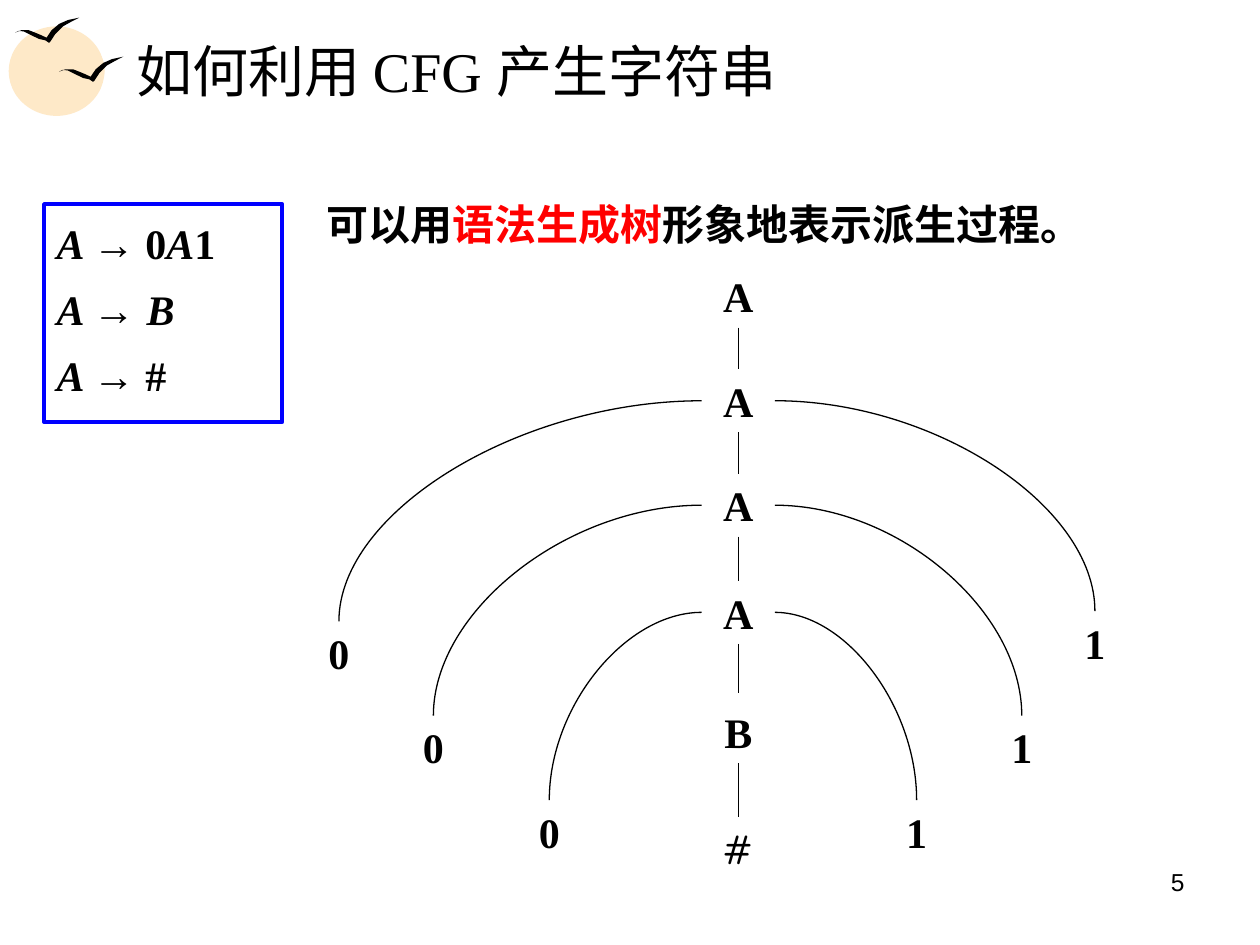
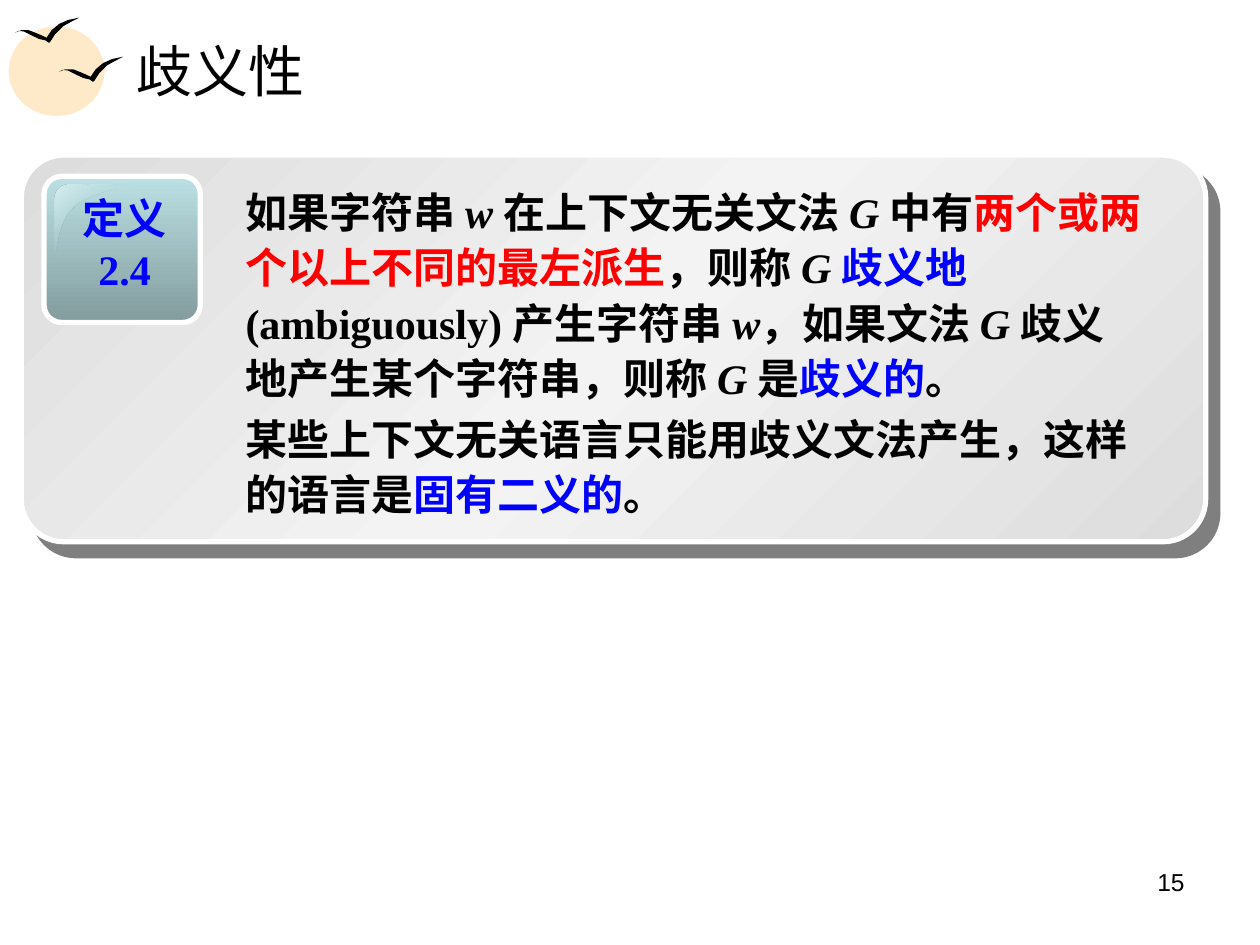
import pptx
import pptx.dml.color
import pptx.enum.shapes
import pptx.enum.text
import pptx.oxml
import pptx.oxml.ns
import pptx.util
from lxml import etree

Pt = pptx.util.Pt
RGBColor = pptx.dml.color.RGBColor
SHAPE = pptx.enum.shapes.MSO_SHAPE
CONNECTOR = pptx.enum.shapes.MSO_CONNECTOR
ALIGN = pptx.enum.text.PP_ALIGN
ANCHOR = pptx.enum.text.MSO_ANCHOR
AUTO_SIZE = pptx.enum.text.MSO_AUTO_SIZE
qn = pptx.oxml.ns.qn

BLACK = RGBColor(0x00, 0x00, 0x00)
WHITE = RGBColor(0xFF, 0xFF, 0xFF)
RED = RGBColor(0xFF, 0x00, 0x00)
BLUE = RGBColor(0x00, 0x00, 0xFF)
SUN = RGBColor(0xFE, 0xE9, 0xC8)
SILVER = RGBColor(0xDD, 0xDD, 0xDD)
PEARL = RGBColor(0xF3, 0xF3, 0xF3)
TEAL = RGBColor(0xBB, 0xE0, 0xE3)
DARK_TEAL = RGBColor(0x83, 0x9C, 0x9E)
PALE_TEAL = RGBColor(0xDA, 0xEE, 0xF0)

SERIF = "Times New Roman"
SANS = "Arial"
PLAIN = (BLACK, False, SERIF)
ITALIC = (BLACK, True, SERIF)
ARROW = (BLACK, False, SANS)
IN_RED = (RED, False, SERIF)
IN_BLUE = (BLUE, False, SERIF)


def write_runs(paragraph, runs, size=24, bold=True):
    for text, (color, italic, font_name) in runs:
        run = paragraph.add_run()
        run.text = text
        run.font.size = Pt(size)
        run.font.bold = bold
        run.font.italic = italic
        run.font.name = font_name
        run.font.color.rgb = color


def fill_gradient(shape, stops, angle):
    shape.fill.gradient()
    gradient = shape._element.spPr.find(qn("a:gradFill"))
    stop_list = gradient.find(qn("a:gsLst"))
    for old_stop in list(stop_list):
        stop_list.remove(old_stop)
    for position, color, opacity in stops:
        stop = etree.SubElement(stop_list, qn("a:gs"), pos=str(position * 1000))
        tint = etree.SubElement(stop, qn("a:srgbClr"), val=str(color))
        if opacity < 100:
            etree.SubElement(tint, qn("a:alpha"), val=str(opacity * 1000))
    gradient.find(qn("a:lin")).set("ang", str(angle * 60000))


presentation = pptx.Presentation()
presentation.slide_width = Pt(720)
presentation.slide_height = Pt(540)

sun_discs = [(5, 15.1, 54.7, 51.1), (14.4, 20.2, 45.4, 39.6)]
bird_origins = [(33.8, 32.4), (8.6, 10.1)]
bird_outline = [
    (0, 8.6), (3.6, 7.2), (7.9, 7.2), (11.5, 8.6), (15.1, 10.1), (18, 11.5),
    (20.9, 7.2), (25.2, 3.6), (30.2, 1.4), (36.7, 0), (32.4, 2.2), (27.4, 5),
    (23, 9.4), (20.2, 13.7), (19.4, 14.4), (17.3, 13), (13.7, 12.2),
    (9.4, 10.1), (5, 7.9), (2, 7.6),
]

slides = []
for layout_index, heading, number in [(1, "如何利用 CFG 产生字符串", "5"), (5, "歧义性", "15")]:
    slide = presentation.slides.add_slide(presentation.slide_layouts[layout_index])
    slides.append(slide)
    motif = []
    for left, top, width, height in sun_discs:
        disc = slide.shapes.add_shape(SHAPE.OVAL, Pt(left), Pt(top), Pt(width), Pt(height))
        motif.append((disc, SUN))
    for origin_x, origin_y in bird_origins:
        points = [(Pt(origin_x + x), Pt(origin_y + y)) for x, y in bird_outline]
        outline = slide.shapes.build_freeform(*points[0], scale=1.0)
        outline.add_line_segments(points[1:], close=True)
        motif.append((outline.convert_to_shape(), BLACK))
    for part, color in motif:
        part.shadow.inherit = False
        part.fill.solid()
        part.fill.fore_color.rgb = color
        part.line.fill.background()

    title = slide.shapes.title
    title.left, title.top, title.width, title.height = Pt(70.6), Pt(15.1), Pt(614.2), Pt(49.7)
    title.text_frame.vertical_anchor = ANCHOR.MIDDLE
    title.text_frame.auto_size = AUTO_SIZE.NONE
    title.text_frame.paragraphs[0].alignment = ALIGN.LEFT
    write_runs(title.text_frame.paragraphs[0], [(heading, PLAIN)], 32, False)

    page = slide.shapes.add_textbox(Pt(516.2), Pt(491.8), Pt(167.8), Pt(37.4))
    page.text_frame.word_wrap = True
    page.text_frame.paragraphs[0].alignment = ALIGN.RIGHT
    write_runs(page.text_frame.paragraphs[0], [(number, ARROW)], 14, False)

tree_slide, definition_slide = slides

grammar = tree_slide.placeholders[1]
grammar.left, grammar.top, grammar.width, grammar.height = Pt(25.2), Pt(116.6), Pt(136.1), Pt(124.6)
grammar.line.color.rgb = BLUE
grammar.line.width = Pt(2.25)
grammar.text_frame.auto_size = AUTO_SIZE.NONE
rules = [
    [("A ", ITALIC), ("→", ARROW), (" 0", PLAIN), ("A", ITALIC), ("1", PLAIN)],
    [("A ", ITALIC), ("→ ", ARROW), ("B", ITALIC)],
    [("A ", ITALIC), ("→", ARROW), (" #", PLAIN)],
]
for index, rule in enumerate(rules):
    paragraph = grammar.text_frame.paragraphs[0] if index == 0 else grammar.text_frame.add_paragraph()
    properties = paragraph._p.get_or_add_pPr()
    properties.set("marL", "0")
    properties.set("indent", "0")
    etree.SubElement(properties, qn("a:buNone"))
    paragraph.line_spacing = 1.15
    paragraph.space_before = Pt(4.5 if index else 0)
    write_runs(paragraph, rule)

statement = tree_slide.shapes.add_textbox(Pt(178.6), Pt(105.8), Pt(521.3), Pt(56.9))
statement.text_frame.word_wrap = True
statement.text_frame.margin_left = statement.text_frame.margin_right = Pt(7.9)
statement.text_frame.paragraphs[0].line_spacing = 1.15
write_runs(statement.text_frame.paragraphs[0], [
    ("可以用", PLAIN), ("语法生成树", IN_RED), ("形象地表示派生过程。", PLAIN),
])

TRUNK_X = 421.9
NODE_WIDTH = 41.8
NODE_HEIGHT = 36
trunk = [("A", 151.2), ("A", 211), ("A", 270.7), ("A", 331.9), ("B", 400.3), ("#", 466.6)]
stem_ends = [211, 270.7, 331.9, 396, 466.6]
branches = [
    (211, [("0", 193.7, 355), ("1", 625.7, 349.2)]),
    (270.7, [("0", 247.7, 409), ("1", 583.9, 409)]),
    (331.9, [("0", 313.9, 457.2), ("1", 523.8, 457.2)]),
]

nodes = [(symbol, TRUNK_X, top) for symbol, top in trunk]
edges = [
    (CONNECTOR.STRAIGHT, TRUNK_X, top + NODE_HEIGHT, TRUNK_X, stem_end)
    for (symbol, top), stem_end in zip(trunk, stem_ends)
]
for parent_top, leaves in branches:
    nodes += leaves
    for symbol, leaf_x, leaf_top in leaves:
        side = 1 if leaf_x > TRUNK_X else -1
        edges.append((CONNECTOR.CURVE, TRUNK_X + side * NODE_WIDTH / 2,
                      parent_top + NODE_HEIGHT / 2, leaf_x, leaf_top))

for symbol, center, top in nodes:
    node = tree_slide.shapes.add_textbox(
        Pt(center - NODE_WIDTH / 2), Pt(top), Pt(NODE_WIDTH), Pt(NODE_HEIGHT))
    node.text_frame.word_wrap = True
    node.text_frame.paragraphs[0].alignment = ALIGN.CENTER
    is_letter = symbol != "#"
    style = PLAIN if is_letter else (BLACK, False, "Comic Neue")
    write_runs(node.text_frame.paragraphs[0], [(symbol, style)], bold=is_letter)

for kind, *ends in edges:
    edge = tree_slide.shapes.add_connector(kind, *[Pt(value) for value in ends])
    edge.line.color.rgb = BLACK
    edge.line.width = Pt(0.75)
    edge_properties = edge._element.spPr
    etree.SubElement(edge_properties, qn("a:effectLst"))
    if kind == CONNECTOR.CURVE:
        edge_properties.find(qn("a:prstGeom")).set("prst", "curvedConnector2")

panel = definition_slide.shapes.add_shape(
    SHAPE.ROUNDED_RECTANGLE, Pt(12.2), Pt(88.6), Pt(676.8), Pt(221))
panel.adjustments[0] = 0.11
fill_gradient(panel, [(0, SILVER, 100), (50, PEARL, 100), (100, SILVER, 100)], 45)
badge = definition_slide.shapes.add_shape(
    SHAPE.ROUNDED_RECTANGLE, Pt(25.2), Pt(100.8), Pt(89.3), Pt(83.5))
badge.adjustments[0] = 0.12
fill_gradient(badge, [(0, TEAL, 100), (100, DARK_TEAL, 100)], 90)
for card in (panel, badge):
    card.shadow.inherit = False
    card.line.color.rgb = WHITE
    card.line.width = Pt(3)
panel_shadow = etree.SubElement(
    panel._element.spPr.find(qn("a:effectLst")), qn("a:outerShdw"),
    dist=str(Pt(10.6)), dir=str(49 * 60000), algn="ctr", rotWithShape="0")
shadow_color = etree.SubElement(panel_shadow, qn("a:srgbClr"), val=str(BLACK))
etree.SubElement(shadow_color, qn("a:alpha"), val="50000")

gloss_curves = [
    [(31, 147.6), (32.4, 147.6), (31.7, 127.4), (42.5, 118.1)],
    [(42.5, 118.1), (54, 108.7), (74.9, 108), (74.2, 105.8)],
    [(39.6, 105.8), (34.6, 105.8), (31, 109.4), (31, 114.5)],
]
STEPS = 12
gloss_points = []
for curve in gloss_curves:
    for step in range(STEPS + 1):
        t = step / STEPS
        weights = [(1 - t) ** 3, 3 * t * (1 - t) ** 2, 3 * t ** 2 * (1 - t), t ** 3]
        gloss_points.append(tuple(
            Pt(sum(weight * point[axis] for weight, point in zip(weights, curve)))
            for axis in (0, 1)))
gloss_outline = definition_slide.shapes.build_freeform(*gloss_points[0], scale=1.0)
gloss_outline.add_line_segments(gloss_points[1:], close=True)
gloss = gloss_outline.convert_to_shape()
gloss.shadow.inherit = False
gloss.line.fill.background()
fill_gradient(gloss, [(0, PALE_TEAL, 100), (50, TEAL, 0), (100, PALE_TEAL, 100)], 45)

label = definition_slide.shapes.add_textbox(Pt(37.4), Pt(106.6), Pt(67.7), Pt(64.8))
label.text_frame.word_wrap = True
label.text_frame.text = "定义\n2.4"
for paragraph in label.text_frame.paragraphs:
    paragraph.alignment = ALIGN.CENTER
    for run in paragraph.runs:
        run.font.size = Pt(24)
        run.font.bold = True
        run.font.name = SERIF
        run.font.color.rgb = BLUE

definition = definition_slide.shapes.add_textbox(Pt(133.2), Pt(100.1), Pt(527), Pt(200.2))
definition.text_frame.word_wrap = True
definition_paragraphs = [
    [
        ("如果字符串 ", PLAIN), ("w ", ITALIC), ("在上下文无关文法 ", PLAIN), ("G ", ITALIC),
        ("中有", PLAIN), ("两个或两个以上不同的最左派生", IN_RED), ("，则称 ", PLAIN),
        ("G ", ITALIC), ("歧义地", IN_BLUE), ("(ambiguously) 产生字符串 ", PLAIN),
        ("w", ITALIC), ("，如果文法 ", PLAIN), ("G ", ITALIC),
        ("歧义地产生某个字符串，则称 ", PLAIN), ("G ", ITALIC), ("是", PLAIN),
        ("歧义的", IN_BLUE), ("。", PLAIN),
    ],
    [
        ("某些上下文无关语言只能用歧义文法产生，这样的语言是", PLAIN),
        ("固有二义的", IN_BLUE), ("。", PLAIN),
    ],
]
for index, runs in enumerate(definition_paragraphs):
    paragraph = definition.text_frame.paragraphs[0] if index == 0 else definition.text_frame.add_paragraph()
    paragraph.line_spacing = 1.1
    paragraph.space_before = Pt(3 if index else 0)
    write_runs(paragraph, runs)

presentation.save("out.pptx")
